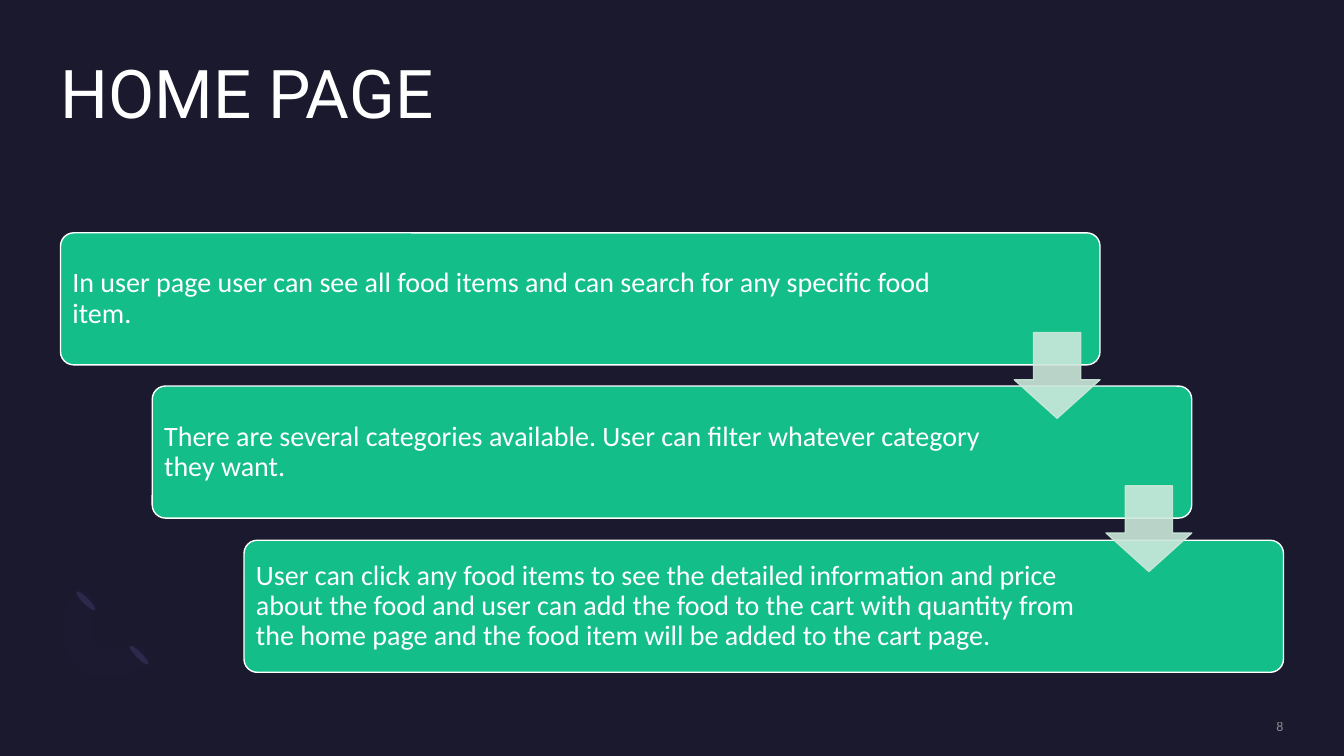
import pptx
import pptx.util
import pptx.dml.color
import pptx.enum.shapes
import pptx.enum.text
import pptx.oxml
import pptx.oxml.ns

PX = 9144
KIND = pptx.enum.shapes.MSO_SHAPE
ALIGN = pptx.enum.text.PP_ALIGN
ANCHOR = pptx.enum.text.MSO_ANCHOR
STEPS = [
    ("In user page user can see all food items and can search for any specific food item.", 141),
    ("There are several categories available. User can filter whatever category they want.", 184),
    ("User can click any food items to see the detailed information and price about the food "
     "and user can add the food to the cart with quantity from the home page and the food item "
     "will be added to the cart page.", 184),
]
ARC = [
    [(76, 659), (56, 639), (58, 605), (81, 582)],
    [(99, 600), (87, 611), (86, 629), (96, 638)],
    [(96, 638), (106, 648), (123, 647), (135, 636)],
    [(152, 654), (130, 676), (95, 679), (76, 659)],
]


def color(text):
    """Turn a hex string into a colour."""
    return pptx.dml.color.RGBColor.from_string(text)


def paint(fill, tone, alpha=100):
    """Give a fill a solid colour and an opacity in percent."""
    fill.solid()
    fill.fore_color.rgb = color(tone)
    if alpha < 100:
        node = fill._xPr.find(pptx.oxml.ns.qn("a:solidFill"))[0]
        node.append(pptx.oxml.parse_xml(
            f'<a:alpha {pptx.oxml.ns.nsdecls("a")} val="{alpha * 1000}"/>'))


def style(shape, tone, edge=None, alpha=100, rim=100):
    """Set the fill and outline of a shape without a shadow."""
    shape.shadow.inherit = False
    paint(shape.fill, tone, alpha)
    if edge:
        paint(shape.line.fill, edge, rim)
        shape.line.width = pptx.util.Pt(1)
    else:
        shape.line.fill.background()


def draw(slide, kind, x, y, w, h):
    """Add a preset shape placed in px."""
    return slide.shapes.add_shape(kind, x * PX, y * PX, w * PX, h * PX)


def write(shape, text, size, font, tone="FFFFFF", align=ALIGN.LEFT,
          anchor=ANCHOR.MIDDLE, pads=(0, 0, 0, 0), alpha=100, lead=0.9):
    """Put one formatted paragraph into a shape."""
    frame = shape.text_frame
    frame.text = text
    frame.word_wrap = True
    frame.auto_size = pptx.enum.text.MSO_AUTO_SIZE.NONE
    frame.vertical_anchor = anchor
    (frame.margin_left, frame.margin_top,
     frame.margin_right, frame.margin_bottom) = [pad * PX for pad in pads]
    para = frame.paragraphs[0]
    para.alignment = align
    para.line_spacing = lead
    face = para.runs[0].font
    face.name = font
    face.size = pptx.util.Pt(size)
    paint(face.fill, tone, alpha)


def curve(ends, count=10):
    """List the points along a cubic curve."""
    spots = []
    for step in range(count + 1):
        t = step / count
        parts = ((1 - t) ** 3, 3 * t * (1 - t) ** 2, 3 * t * t * (1 - t), t ** 3)
        spots.append(tuple(sum(p * end[axis] for p, end in zip(parts, ends))
                           for axis in (0, 1)))
    return spots


def add_decor(slide):
    """Draw the faint arc and the two slim ovals."""
    for x, y in ((135, 637), (82, 583)):
        oval = draw(slide, KIND.OVAL, x, y, 6, 26)
        oval.rotation = 135
        style(oval, "2C284A")
    spots = [spot for ends in ARC for spot in curve(ends)]
    pen = slide.shapes.build_freeform(*spots[0], scale=PX)
    pen.add_line_segments(spots[1:], close=True)
    style(pen.convert_to_shape(), "7771B2", alpha=2)


def add_step(slide, rank, text, right):
    """Draw one stair box with its text."""
    box = draw(slide, KIND.ROUNDED_RECTANGLE, 60 + 91 * rank, 231 + 152 * rank + rank // 2, 1031, 131)
    box.adjustments[0] = 0.1
    style(box, "13BE89", "FFFFFF")
    write(box, text, 20, "Calibri", pads=(8, 8, right, 8))


def add_arrow(slide, rank):
    """Draw the arrow that leads down from one stair box."""
    arrow = draw(slide, KIND.DOWN_ARROW, 1006 + 91 * rank, 330 + 152 * rank, 85, 85)
    arrow.adjustments[0] = 0.55
    arrow.adjustments[1] = 0.45
    style(arrow, "CCE8DA", "CCE8DA", 90, 90)


def main():
    """Build the slide and save it."""
    deck = pptx.Presentation()
    deck.slide_width, deck.slide_height = 1333 * PX, 750 * PX
    slide = deck.slides.add_slide(deck.slide_layouts[5])
    paint(slide.background.fill, "1B192E")
    add_decor(slide)
    title = slide.shapes.title
    title.left, title.top, title.width, title.height = [n * PX for n in (60, 60, 1213, 146)]
    write(title, "HOME PAGE", 48, "Roboto", anchor=ANCHOR.TOP)
    for rank, (text, right) in enumerate(STEPS):
        add_step(slide, rank, text, right)
    for rank in range(len(STEPS) - 1):
        add_arrow(slide, rank)
    page = slide.shapes.add_textbox(1088 * PX, 712 * PX, 185 * PX, 17 * PX)
    write(page, "8", 10, "Calibri", "A6A6A6", ALIGN.RIGHT, alpha=80, lead=1.0)
    deck.save("out.pptx")


if __name__ == "__main__":
    main()
